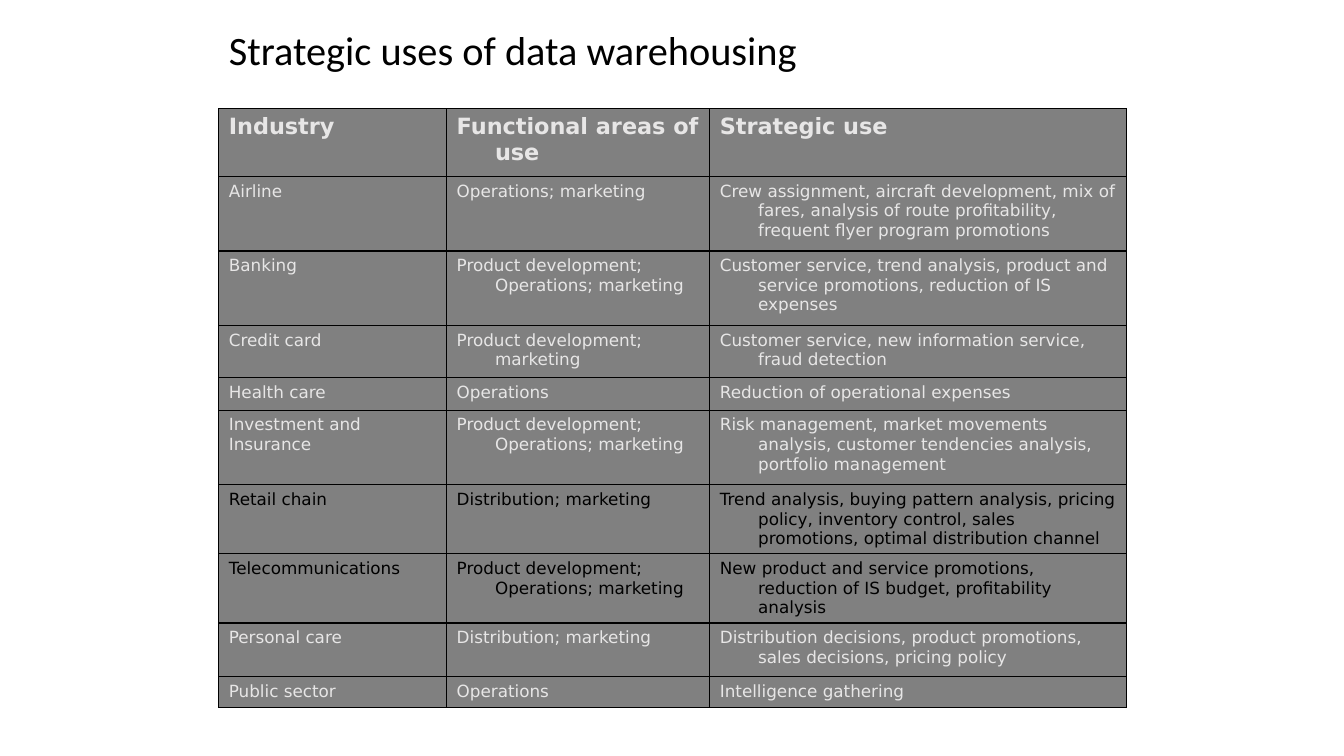
from dataclasses import dataclass

from pptx import Presentation
from pptx.dml.color import RGBColor as RGB
from pptx.enum.text import MSO_ANCHOR as Anchor, MSO_AUTO_SIZE as AutoSize, PP_ALIGN as Align
from pptx.oxml import parse_xml
from pptx.oxml.ns import nsdecls
from pptx.util import Inches, Pt

TITLE = "Strategic uses of data warehousing"
HEADINGS = ("Industry", "Functional areas of use", "Strategic use")
DEVELOPMENT = "Product development; Operations; marketing"
INDUSTRIES = [
    (0.74, "Airline", "Operations; marketing",
     "Crew assignment, aircraft development, mix of fares, analysis of route "
     "profitability, frequent flyer program promotions"),
    (0.74, "Banking", DEVELOPMENT,
     "Customer service, trend analysis, product and service promotions, "
     "reduction of IS expenses"),
    (0.52, "Credit card", "Product development; marketing",
     "Customer service, new information service, fraud detection"),
    (0.32, "Health care", "Operations", "Reduction of operational expenses"),
    (0.74, "Investment and\nInsurance", DEVELOPMENT,
     "Risk management, market movements analysis, customer tendencies "
     "analysis, portfolio management"),
    (0.53, "Retail chain", "Distribution; marketing",
     "Trend analysis, buying pattern analysis, pricing policy, inventory "
     "control, sales promotions, optimal distribution channel"),
    (0.53, "Telecommunications", DEVELOPMENT,
     "New product and service promotions, reduction of IS budget, "
     "profitability analysis"),
    (0.53, "Personal care", "Distribution; marketing",
     "Distribution decisions, product promotions, sales decisions, pricing policy"),
    (0.31, "Public sector", "Operations", "Intelligence gathering"),
]
DARK_INDUSTRIES = {"Retail chain", "Telecommunications"}
ROWS = [(0.67, *HEADINGS), *INDUSTRIES]
COLUMN_WIDTHS = (2.26, 2.61, 4.13)
LEFT, TABLE_TOP = 2.17, 1.08
HANGING = 0.38


@dataclass(frozen=True)
class Theme:
    ink: str = "000000"
    pale: str = "E7E6E6"
    panel: str = "808080"
    title_font: str = "Calibri"
    table_font: str = "DejaVu Sans"
    title_size: float = 28.8
    heading_size: float = 16
    body_size: float = 12
    border: float = 1


THEME = Theme()


def assign(target, values):
    for attribute, value in values.items():
        setattr(target, attribute, value)


def write(paragraph, words, color, **font_values):
    run = paragraph.add_run()
    run.text = words
    assign(run.font, font_values)
    run.font.color.rgb = RGB.from_string(color)


def add_title(slide):
    title = slide.shapes.title
    assign(title, dict(left=Inches(LEFT), top=Inches(0.3),
                       width=Inches(8.83), height=Inches(0.45)))
    assign(title.text_frame, dict(word_wrap=True, auto_size=AutoSize.NONE,
                                  vertical_anchor=Anchor.MIDDLE))
    heading = title.text_frame.paragraphs[0]
    assign(heading, dict(alignment=Align.LEFT, line_spacing=0.9))
    write(heading, TITLE, THEME.ink, name=THEME.title_font, size=Pt(THEME.title_size))


def style_cell(cell):
    properties = cell._tc.get_or_add_tcPr()
    for side in "LRTB":
        properties.append(parse_xml(
            f'<a:ln{side} {nsdecls("a")} w="{Pt(THEME.border)}"><a:solidFill>'
            f'<a:srgbClr val="{THEME.ink}"/></a:solidFill></a:ln{side}>'))
    cell.fill.solid()
    cell.fill.fore_color.rgb = RGB.from_string(THEME.panel)


def fill_cell(cell, words, color, is_heading):
    style_cell(cell)
    for index, line in enumerate(words.split("\n")):
        frame = cell.text_frame
        paragraph = frame.add_paragraph() if index else frame.paragraphs[0]
        indents = paragraph._p.get_or_add_pPr()
        indents.set("marL", str(Inches(HANGING)))
        indents.set("indent", str(-Inches(HANGING)))
        write(paragraph, line, color, name=THEME.table_font, bold=is_heading,
              size=Pt(THEME.heading_size if is_heading else THEME.body_size))


def add_uses(slide):
    table = slide.shapes.add_table(
        len(ROWS), len(COLUMN_WIDTHS), Inches(LEFT), Inches(TABLE_TOP),
        Inches(sum(COLUMN_WIDTHS)), Inches(sum(row[0] for row in ROWS))).table
    assign(table, dict(first_row=False, horz_banding=False))
    for column, width in zip(table.columns, COLUMN_WIDTHS):
        column.width = Inches(width)
    for index, (height, *entries) in enumerate(ROWS):
        table.rows[index].height = Inches(height)
        color = THEME.ink if entries[0] in DARK_INDUSTRIES else THEME.pale
        for cell, words in zip(table.rows[index].cells, entries):
            fill_cell(cell, words, color, index == 0)


def main():
    deck = Presentation()
    assign(deck, dict(slide_width=Inches(13.33), slide_height=Inches(7.5)))
    slide = deck.slides.add_slide(deck.slide_layouts[5])
    add_title(slide)
    add_uses(slide)
    deck.save("out.pptx")


if __name__ == "__main__":
    main()
